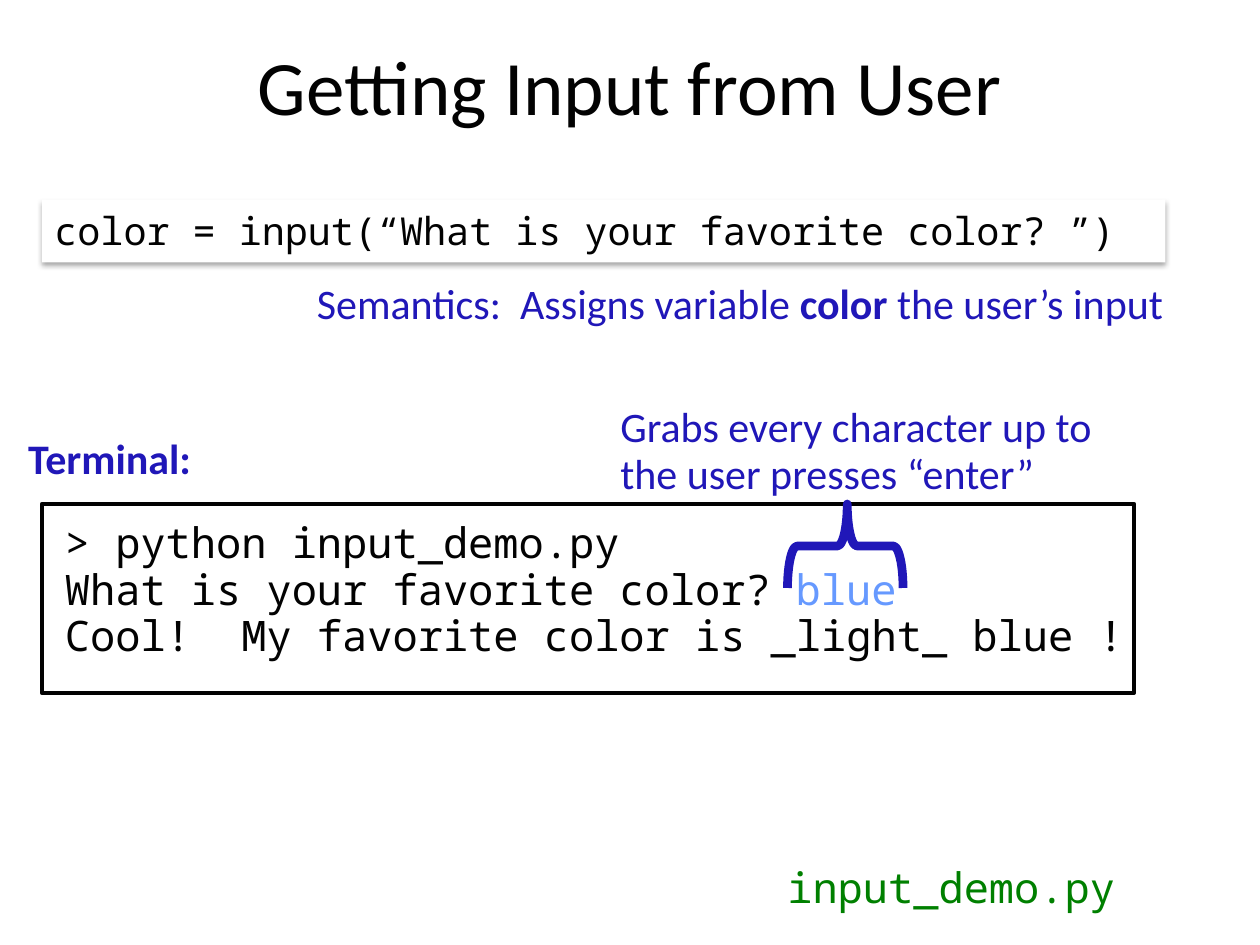
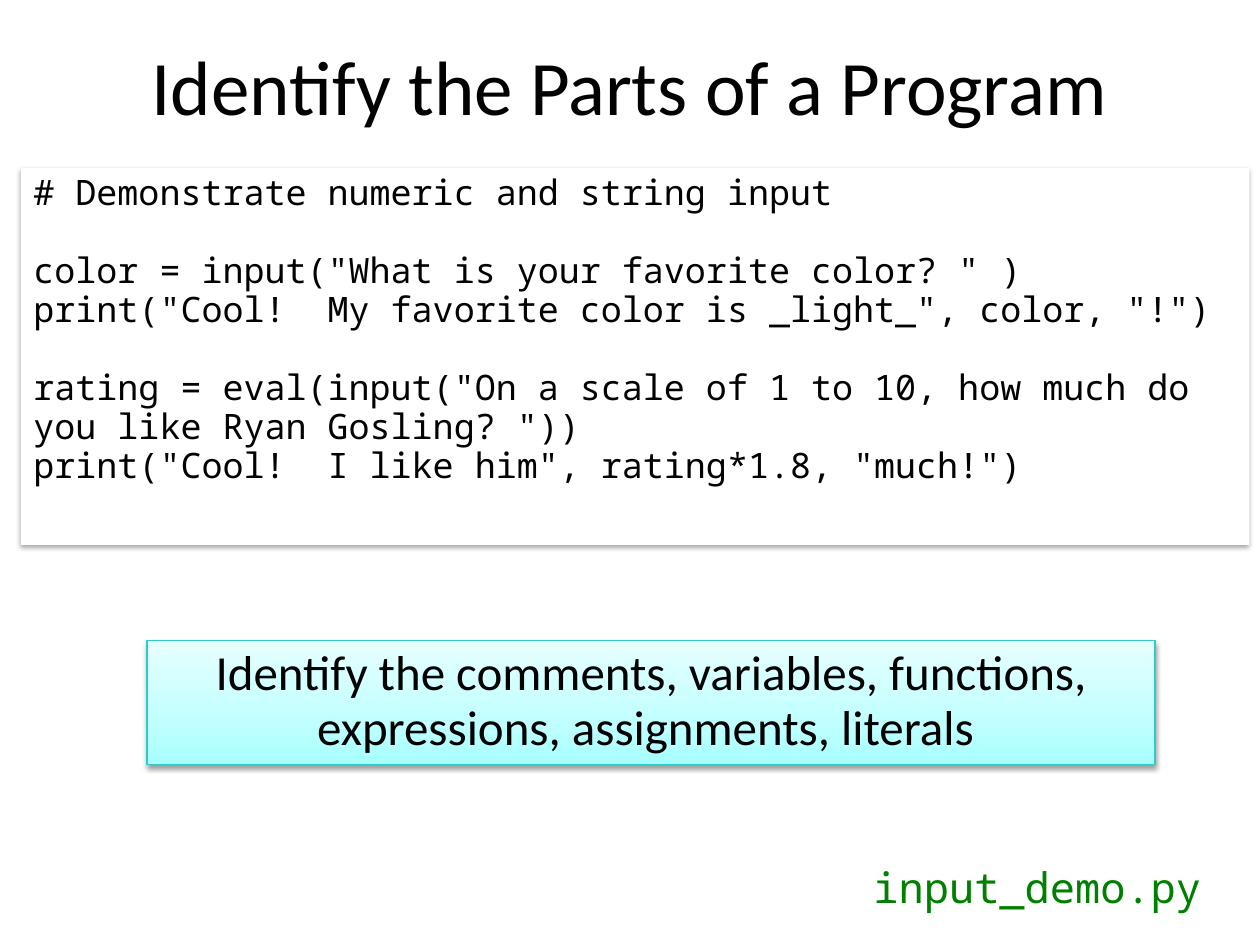
from copy import deepcopy

from lxml import etree
from pptx import Presentation, util as u
from pptx.dml.color import RGBColor
from pptx.enum import shapes, text
from pptx.oxml.ns import qn

INK = RGBColor(0x02, 0x02, 0x02)
WHITE = RGBColor(0xFF, 0xFF, 0xFF)
NOTE_BLUE = RGBColor(0x20, 0x17, 0xB8)
TYPED_BLUE = RGBColor(0x66, 0x99, 0xFF)
FILE_GREEN = RGBColor(0x00, 0x80, 0x00)
TASK_EDGE = RGBColor(0x2E, 0xCB, 0xCB)
TASK_STOPS = [(0, RGBColor(0xA7, 0xFF, 0xFF)), (0.35, RGBColor(0xC1, 0xFF, 0xFF)),
              (1, RGBColor(0xE7, 0xFF, 0xFF))]
SANS, MONO = "Calibri", "Noto Sans Mono"
COLUMNS, ROWS = 120, 90
TIGHT, LOOSE = 0.93, 1.02
CODE_LINE = 22.3

INPUT_TITLE = "Getting Input from User"
INPUT_CODE = "color = input(“What is your favorite color? ”)"
TERMINAL_LABEL = "Terminal:"
TERMINAL_LINES = [
    "> python input_demo.py",
    [("What is your favorite color? ", {}), ("blue", {"color": TYPED_BLUE})],
    "Cool!  My favorite color is _light_ blue !",
]
SEMANTICS = [("Semantics:  Assigns variable ", {}), ("color ", {"bold": True}),
             ("the user’s input", {})]
ENTER_NOTE = "Grabs every character up to the user presses “enter”"

PARTS_TITLE = "Identify the Parts of a Program"
PROGRAM_BLOCKS = [
    ["# Demonstrate numeric and string input"],
    ['color = input("What is your favorite color? " )',
     'print("Cool!  My favorite color is _light_", color, "!")'],
    ['rating = eval(input("On a scale of 1 to 10, how much do you like Ryan Gosling? "))',
     'print("Cool!  I like him", rating*1.8, "much!")'],
]
TASK = "Identify the comments, variables, functions, expressions, assignments, literals "
FILE_NAME = "input_demo.py"

presentation = Presentation()
presentation.slide_width, presentation.slide_height = u.Inches(10), u.Inches(7.5)


def place(column, row, columns, rows):
    cell_width = presentation.slide_width / COLUMNS
    cell_height = presentation.slide_height / ROWS
    return [round(value) for value in (column * cell_width, row * cell_height,
                                       columns * cell_width, rows * cell_height)]


def write(shape, lines, size, font=SANS, color=INK, bold=False, spacing=TIGHT,
          align=text.PP_ALIGN.LEFT, anchor=text.MSO_ANCHOR.TOP, wrap=True):
    frame = shape.text_frame
    frame.word_wrap = wrap
    frame.auto_size = text.MSO_AUTO_SIZE.NONE if wrap else text.MSO_AUTO_SIZE.SHAPE_TO_FIT_TEXT
    frame.vertical_anchor = anchor
    frame.text = "\n".join(line if isinstance(line, str) else "" for line in lines)
    for paragraph, line in zip(frame.paragraphs, lines):
        paragraph.alignment, paragraph.line_spacing = align, spacing
        styles = [{}]
        if not isinstance(line, str):
            styles = [style for _, style in line]
            for words, _ in line:
                paragraph.add_run().text = words
        for run, style in zip(paragraph.runs, styles):
            run.font.name, run.font.size = font, u.Pt(size)
            run.font.bold = style.get("bold", bold)
            run.font.color.rgb = style.get("color", color)
    return frame


def add_text(slide, area, lines, size, **style):
    return write(slide.shapes.add_textbox(*place(*area)), lines, size, **style)


def add_box(slide, area, preset=shapes.MSO_SHAPE.RECTANGLE, fill=None, line=None, width=1):
    shape = slide.shapes.add_shape(preset, *place(*area))
    shape.shadow.inherit = False
    if fill is None:
        shape.fill.background()
    else:
        shape.fill.solid()
        shape.fill.fore_color.rgb = fill
    if line is None:
        shape.line.fill.background()
    else:
        shape.line.color.rgb, shape.line.width = line, u.Pt(width)
    return shape


def drop_shadow(shape, opacity, distance):
    effects = shape._element.spPr.find(qn("a:effectLst"))
    shadow = etree.SubElement(effects, qn("a:outerShdw"), blurRad=str(u.Pt(3.1)),
                              dist=str(u.Pt(distance)), dir="5400000", rotWithShape="0")
    color = etree.SubElement(shadow, qn("a:srgbClr"), val="000000")
    etree.SubElement(color, qn("a:alpha"), val=str(opacity * 1000))


def fill_gradient(shape, stops):
    shape.fill.gradient()
    shape.fill.gradient_angle = 90
    stop_list = shape._element.spPr.find(".//" + qn("a:gsLst"))
    while len(stop_list) < len(stops):
        stop_list.append(deepcopy(stop_list[-1]))
    for stop, (position, color) in zip(shape.fill.gradient_stops, stops):
        stop.position, stop.color.rgb = position, color


def add_code(slide, area, lines, size, spacing):
    shape = add_box(slide, area, fill=WHITE)
    drop_shadow(shape, 35, 1.8)
    return write(shape, lines, size, font=MONO, spacing=spacing)


def add_slide(title, file_column):
    slide = presentation.slides.add_slide(presentation.slide_layouts[6])
    add_text(slide, (3, 1, 114, 14), [title], 44, spacing=LOOSE,
             align=text.PP_ALIGN.CENTER, anchor=text.MSO_ANCHOR.MIDDLE)
    add_text(slide, (file_column, 81.9, 34, 5.8), [FILE_NAME], 24,
             font=MONO, color=FILE_GREEN, wrap=False)
    return slide


slide = add_slide(INPUT_TITLE, 73.8)
add_code(slide, (4, 19, 107, 6), [INPUT_CODE], 22, LOOSE)
add_text(slide, (5, 49, 104.3, 14.8), TERMINAL_LINES, 24, font=MONO, wrap=False)
add_box(slide, (4, 48, 104, 18), line=INK, width=2.5)
add_text(slide, (1.5, 41, 22, 5.8), [TERMINAL_LABEL], 24, color=NOTE_BLUE, bold=True, wrap=False)
brace = add_box(slide, (76.5, 46.5, 8, 11), shapes.MSO_SHAPE.LEFT_BRACE, line=NOTE_BLUE, width=5)
brace.rotation = 90
brace.adjustments[0], brace.adjustments[1] = 0.115, 0.483
add_text(slide, (57.9, 38, 53.1, 10.3), [ENTER_NOTE], 24, color=NOTE_BLUE)
add_text(slide, (29, 26.25, 84.4, 5.8), [SEMANTICS], 24, color=NOTE_BLUE, wrap=False)

slide = add_slide(PARTS_TITLE, 82)
program = [line for block in PROGRAM_BLOCKS for line in block]
code = add_code(slide, (2, 16, 117, 35.9), program, 20, TIGHT)
block_starts = [block[0] for block in PROGRAM_BLOCKS[1:]]
for paragraph in code.paragraphs:
    if paragraph.text in block_starts:
        paragraph.space_before = u.Pt(CODE_LINE)
task = add_box(slide, (14, 61, 96, 11.8), line=TASK_EDGE, width=0.75)
fill_gradient(task, TASK_STOPS)
drop_shadow(task, 38, 1.6)
write(task, [TASK], 28, align=text.PP_ALIGN.CENTER)

presentation.save("out.pptx")
